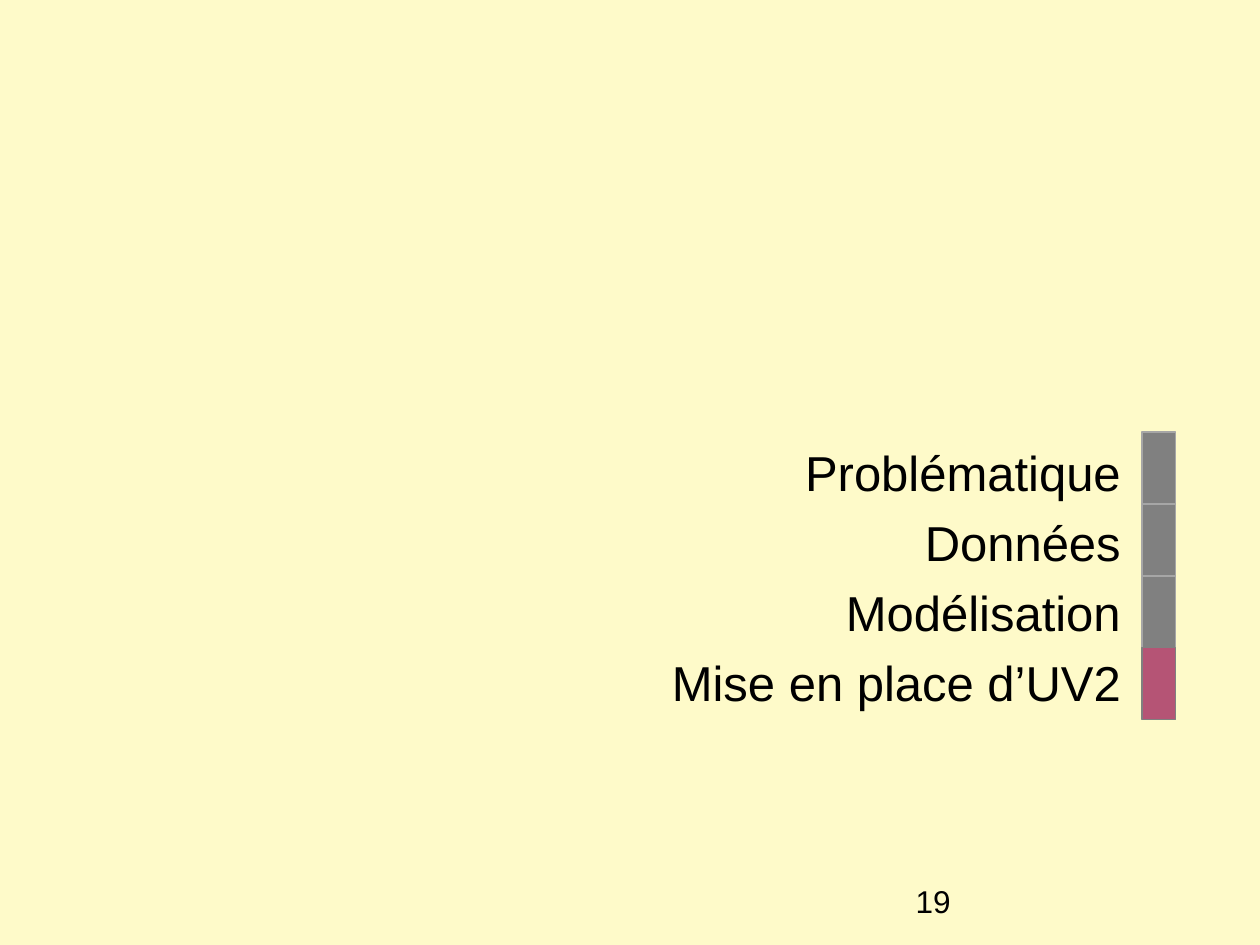
from dataclasses import dataclass

import pptx
import pptx.dml.color
import pptx.enum.shapes
import pptx.enum.text
import pptx.util
from pptx.util import Cm

ALIGN = pptx.enum.text.PP_ALIGN


@dataclass(frozen=True)
class Theme:
    font: str = "Arial"
    background: str = "FEFAC9"
    text: str = "000000"
    passed: str = "808080"
    passed_line: str = "A6A6A6"
    current: str = "B55475"
    current_line: str = "808080"
    agenda_size: float = 28
    number_size: float = 18
    agenda_gap: float = 6.4
    line_width: float = 0.75


THEME = Theme()
AGENDA = ["Problématique", "Données", "Modélisation", "Mise en place d’UV2"]
BAR_LEFT, BAR_TOP, BAR_WIDTH, BAR_HEIGHT = Cm(23.02), Cm(8.71), Cm(0.68), Cm(1.45)


def color(value):
    return pptx.dml.color.RGBColor.from_string(value)


def add_text(slide, lines, left, top, width, height, *, size, align=ALIGN.LEFT, gap=0):
    """Add a text box with one paragraph per line; gap is the space between them."""
    box = slide.shapes.add_textbox(left, top, width, height)
    frame = box.text_frame
    frame.word_wrap = True
    for index, line in enumerate(lines):
        para = frame.add_paragraph() if index else frame.paragraphs[0]
        para.alignment = align
        para.space_before = pptx.util.Pt(gap if index else 0)
        span = para.add_run()
        span.text = line
        span.font.name = THEME.font
        span.font.size = pptx.util.Pt(size)
        span.font.color.rgb = color(THEME.text)


def add_marker(shapes, row, fill, line):
    """Add the progress bar segment beside one agenda row."""
    marker = shapes.add_shape(
        pptx.enum.shapes.MSO_SHAPE.RECTANGLE,
        BAR_LEFT, BAR_TOP + row * BAR_HEIGHT, BAR_WIDTH, BAR_HEIGHT)
    marker.shadow.inherit = False
    marker.fill.solid()
    marker.fill.fore_color.rgb = color(fill)
    marker.line.color.rgb = color(line)
    marker.line.width = pptx.util.Pt(THEME.line_width)


def add_progress_bar(slide, current):
    passed = slide.shapes.add_group_shape()
    for row in range(current):
        add_marker(passed.shapes, row, THEME.passed, THEME.passed_line)
    add_marker(slide.shapes, current, THEME.current, THEME.current_line)


def main():
    deck = pptx.Presentation()
    deck.slide_width, deck.slide_height = Cm(25.4), Cm(19.05)
    slide = deck.slides.add_slide(deck.slide_layouts.get_by_name("Blank"))
    slide.background.fill.solid()
    slide.background.fill.fore_color.rgb = color(THEME.background)

    add_text(slide, ["19"], Cm(18.21), Cm(17.65), Cm(5.92), Cm(1.02),
             size=THEME.number_size)
    add_text(slide, AGENDA, Cm(10.34), Cm(8.79), Cm(12.5), Cm(5.92),
             size=THEME.agenda_size, align=ALIGN.RIGHT, gap=THEME.agenda_gap)
    add_progress_bar(slide, current=len(AGENDA) - 1)

    deck.save("out.pptx")


if __name__ == "__main__":
    main()
